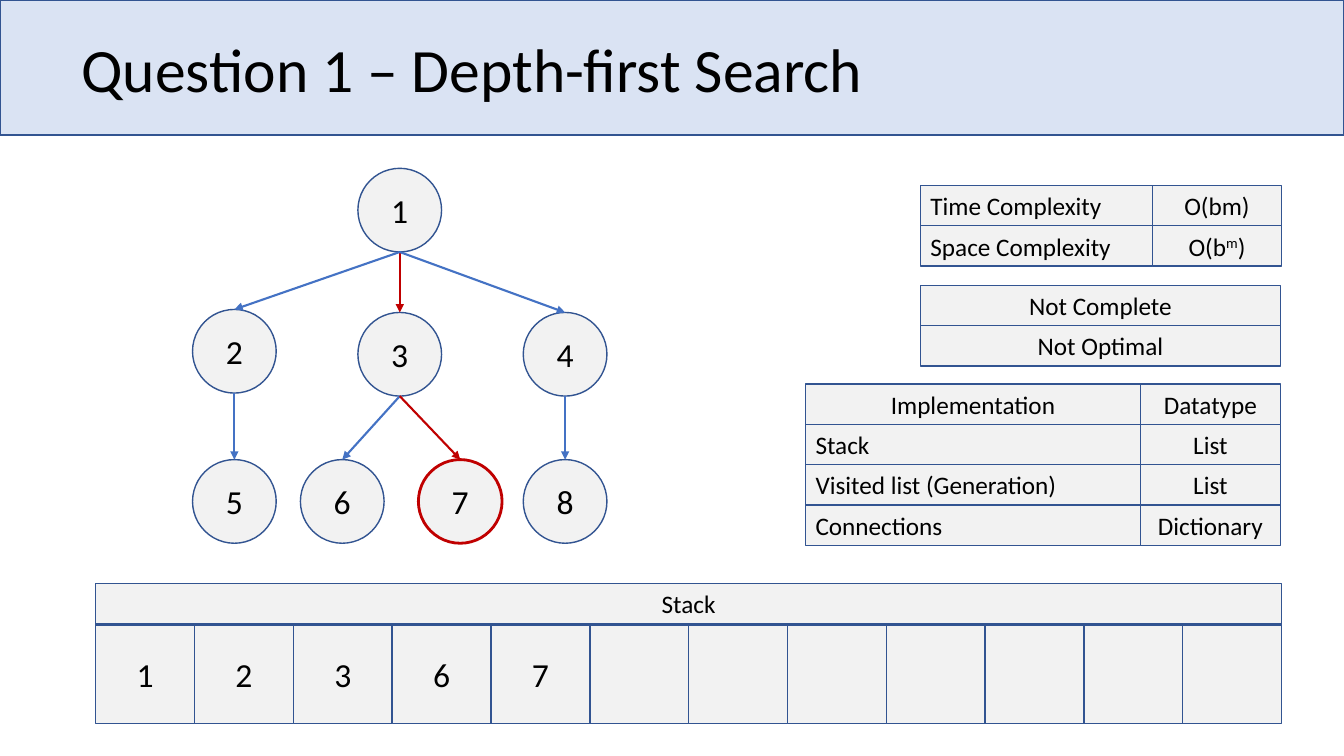
from dataclasses import dataclass

from lxml.etree import SubElement
from pptx import Presentation
from pptx.dml.color import RGBColor
from pptx.enum.shapes import MSO_CONNECTOR, MSO_SHAPE
from pptx.enum.text import MSO_ANCHOR, PP_ALIGN
from pptx.oxml.ns import qn
from pptx.util import Inches, Pt


@dataclass(frozen=True)
class Theme:
    font: str = "Calibri"
    text: RGBColor = RGBColor(0x00, 0x00, 0x00)
    banner: RGBColor = RGBColor(0xDA, 0xE3, 0xF3)
    box: RGBColor = RGBColor(0xF2, 0xF2, 0xF2)
    outline: RGBColor = RGBColor(0x32, 0x54, 0x91)
    arrow: RGBColor = RGBColor(0x44, 0x72, 0xC4)
    highlight: RGBColor = RGBColor(0xC0, 0x00, 0x00)
    title_size: Pt = Pt(44)
    node_size: Pt = Pt(24)
    label_size: Pt = Pt(18)


theme = Theme()


def write(shape, text, size, alignment):
    """Fill the shape with one paragraph; text after ^ is one raised letter."""
    shape.text_frame.vertical_anchor = MSO_ANCHOR.MIDDLE
    paragraph = shape.text_frame.paragraphs[0]
    paragraph.alignment = alignment
    paragraph.font.name = theme.font
    paragraph.font.size = size
    paragraph.font.color.rgb = theme.text
    base, _, raised = text.partition("^")
    for part, baseline in ((base, None), (raised[:1], "30000"), (raised[1:], None)):
        if part:
            run = paragraph.add_run()
            run.text = part
            if baseline:
                run._r.get_or_add_rPr().set("baseline", baseline)
    return paragraph


def add_box(kind, left, top, width, height, text="",
            size=theme.label_size, alignment=PP_ALIGN.CENTER):
    shape = slide.shapes.add_shape(
        kind, Inches(left), Inches(top), Inches(width), Inches(height))
    shape.shadow.inherit = False
    shape.fill.solid()
    shape.fill.fore_color.rgb = theme.box
    shape.line.color.rgb = theme.outline
    shape.line.width = Pt(1)
    if text:
        write(shape, text, size, alignment)
    return shape


presentation = Presentation()
presentation.slide_width = Inches(13.33)
presentation.slide_height = Inches(7.5)
slide = presentation.slides.add_slide(presentation.slide_layouts[6])

# Title banner
banner = add_box(MSO_SHAPE.RECTANGLE, 0, 0, 13.33, 1.34)
banner.fill.fore_color.rgb = theme.banner
title = slide.shapes.add_textbox(Inches(0.71), Inches(-0.01), Inches(11.5), Inches(1.45))
title.text_frame.word_wrap = True
title_paragraph = write(
    title, "Question 1 – Depth-first Search", theme.title_size, PP_ALIGN.LEFT)
title_paragraph.line_spacing = 0.9

# Search tree: left and top of each node
diameter = 0.83
nodes = {
    1: (3.55, 1.67),
    2: (1.91, 3.07), 3: (3.55, 3.1), 4: (5.19, 3.1),
    5: (1.91, 4.56), 6: (2.98, 4.56), 7: (4.15, 4.56), 8: (5.19, 4.56),
}
goal = 7
for number, (left, top) in nodes.items():
    node = add_box(MSO_SHAPE.OVAL, left, top, diameter, diameter,
                   str(number), theme.node_size)
    if number == goal:
        node.line.color.rgb = theme.highlight
        node.line.width = Pt(2)

edges = [(1, 3), (1, 2), (1, 4), (2, 5), (3, 6), (3, 7), (4, 8)]
goal_edges = [(1, 3), (3, 7)]
for parent, child in edges:
    parent_left, parent_top = nodes[parent]
    child_left, child_top = nodes[child]
    arrow = slide.shapes.add_connector(
        MSO_CONNECTOR.STRAIGHT,
        Inches(parent_left + diameter / 2), Inches(parent_top + diameter),
        Inches(child_left + diameter / 2), Inches(child_top))
    on_goal_route = (parent, child) in goal_edges
    arrow.line.color.rgb = theme.highlight if on_goal_route else theme.arrow
    arrow.line.width = Pt(1.5)
    SubElement(arrow.line._get_or_add_ln(), qn("a:tailEnd"), type="triangle")
    SubElement(arrow._element.spPr, qn("a:effectLst"))

# Stack
stack_left, cell_side, cell_count = 0.95, 0.98, 12
stack_values = ["1", "2", "3", "6", "7"]
row_height = 0.4
for index in range(cell_count):
    value = stack_values[index] if index < len(stack_values) else ""
    add_box(MSO_SHAPE.RECTANGLE, stack_left + index * cell_side, 6.2,
            cell_side, cell_side, value, theme.node_size)
add_box(MSO_SHAPE.RECTANGLE, stack_left, 5.79, cell_count * cell_side, row_height, "Stack")

# Fact grids: left, top, column widths, whether the first row is a header, rows
grids = [
    (9.13, 1.84, [2.3, 1.28], False,
     [["Time Complexity", "O(bm)"], ["Space Complexity", "O(b^m)"]]),
    (9.13, 2.83, [3.57], False, [["Not Complete"], ["Not Optimal"]]),
    (7.99, 3.81, [3.32, 1.39], True,
     [["Implementation", "Datatype"], ["Stack", "List"],
      ["Visited list (Generation)", "List"], ["Connections", "Dictionary"]]),
]
for left, top, widths, has_header, rows in grids:
    for row, labels in enumerate(rows):
        for column, label in enumerate(labels):
            is_header = has_header and row == 0
            is_row_name = len(widths) > 1 and column == 0 and not is_header
            add_box(MSO_SHAPE.RECTANGLE, left + sum(widths[:column]),
                    top + row * row_height, widths[column], row_height, label,
                    alignment=PP_ALIGN.LEFT if is_row_name else PP_ALIGN.CENTER)

presentation.save("out.pptx")
